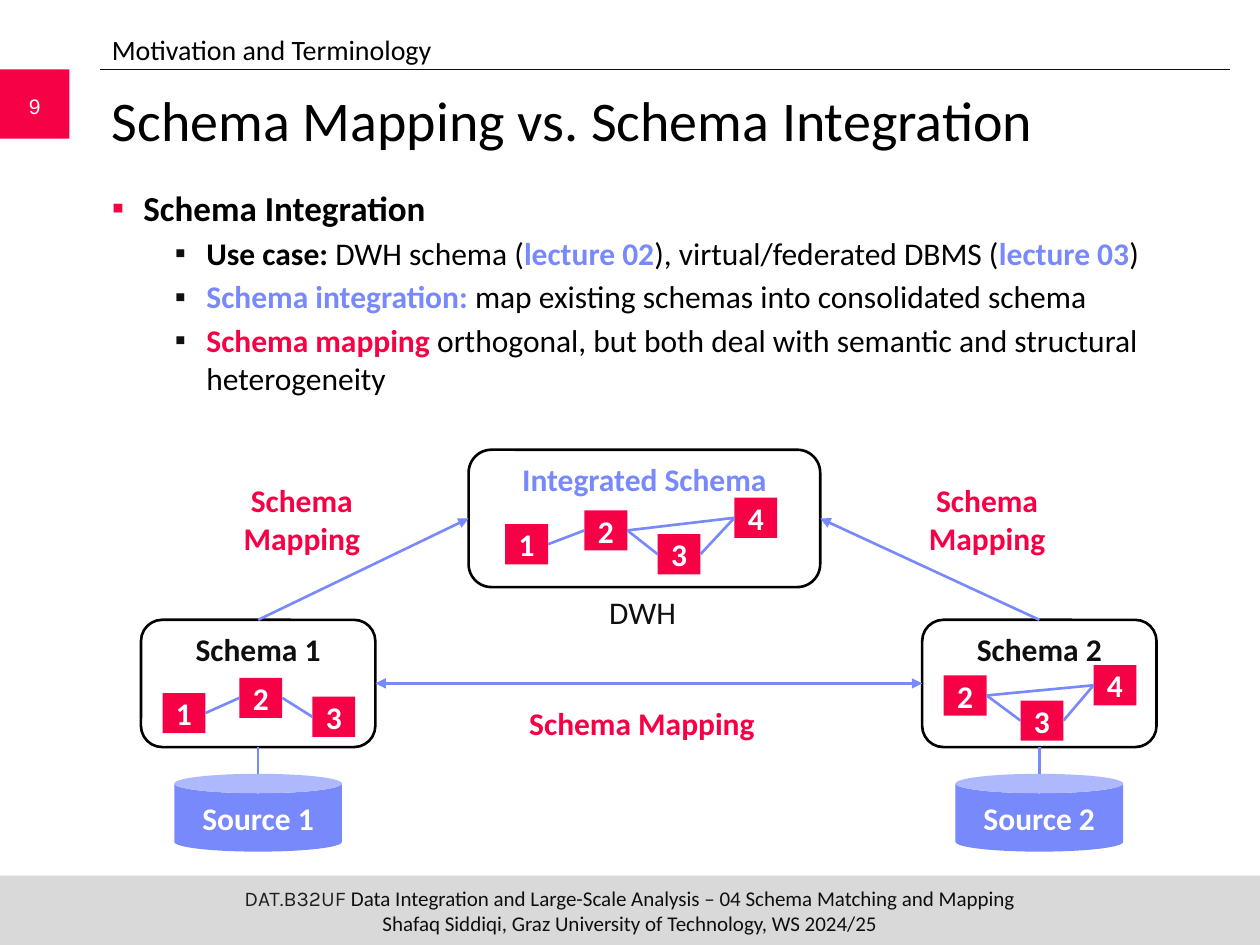
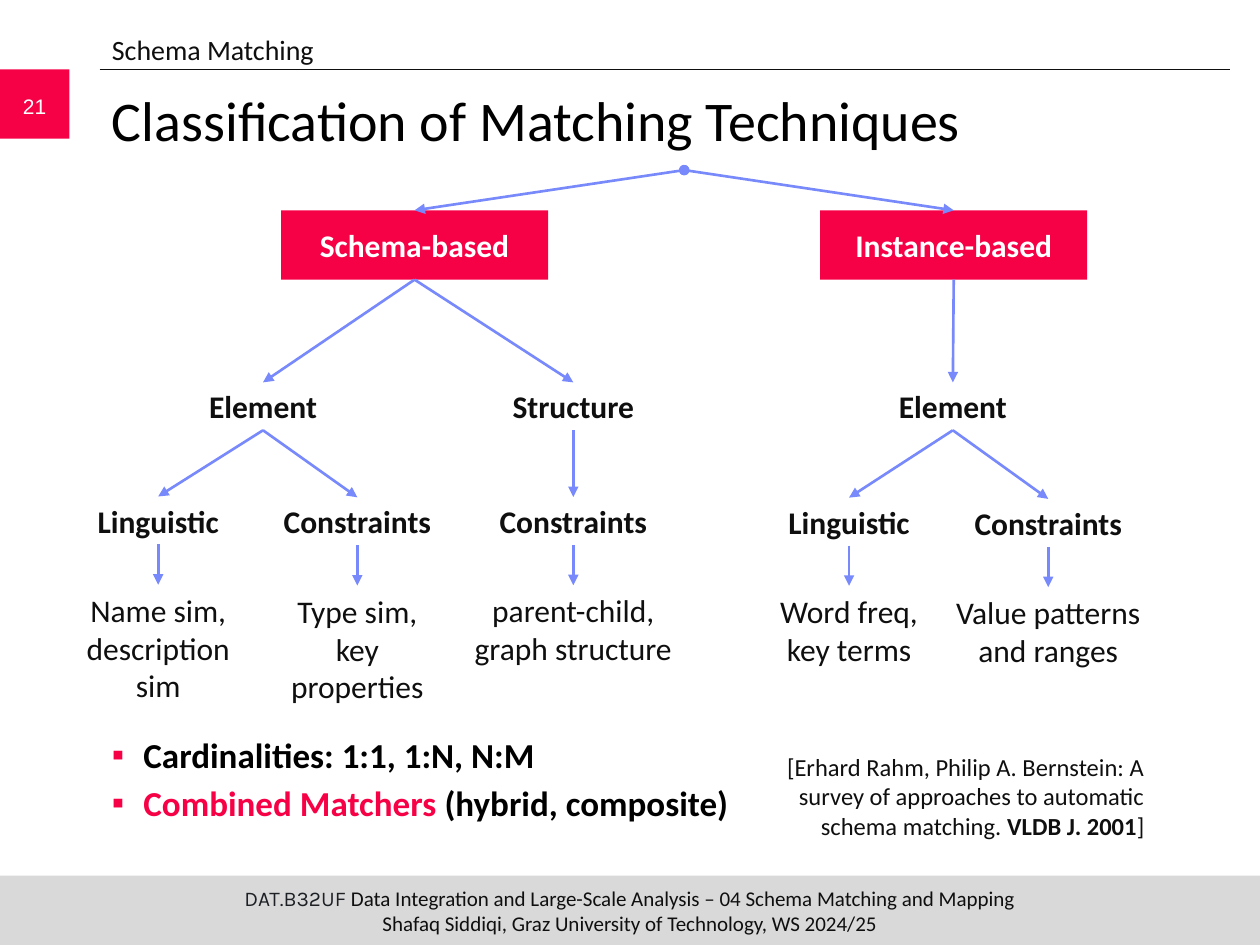
from lxml import etree
from pptx import Presentation
from pptx.dml.color import RGBColor
from pptx.enum.shapes import MSO_CONNECTOR, MSO_SHAPE
from pptx.enum.text import MSO_ANCHOR, PP_ALIGN
from pptx.oxml.ns import qn
from pptx.util import Pt

RECT, ROUND, CAN = MSO_SHAPE.RECTANGLE, MSO_SHAPE.ROUNDED_RECTANGLE, MSO_SHAPE.CAN
STRAIGHT = MSO_CONNECTOR.STRAIGHT
TOP, MIDDLE = MSO_ANCHOR.TOP, MSO_ANCHOR.MIDDLE
LEFT, CENTER, RIGHT = PP_ALIGN.LEFT, PP_ALIGN.CENTER, PP_ALIGN.RIGHT
# Connection sites of a box
NORTH, WEST, SOUTH, EAST = range(4)

COLORS = {
    "red": "F70146", "blue": "7889FB", "ink": "0F0F0F", "black": "000000",
    "white": "FFFFFF", "band": "D9D9D9", "code": "1D2125",
}
PAD = (7.2, 3.6)
TIGHT = (0, 3.6)


def rgb(name):
    return RGBColor.from_string(COLORS[name])


class Deck:
    """Holds the style and the current slide."""

    font = "Calibri"

    def __init__(self):
        self.prs = Presentation()
        self.prs.slide_width, self.prs.slide_height = Pt(720), Pt(540)
        self.slide = None

    def page(self, number, section, title, tone="black"):
        self.slide = self.prs.slides.add_slide(self.prs.slide_layouts[6])
        # Footer band
        self.shape(RECT, 0, 500.4, 720, 39.6, fill="band")
        foot = self.text(0, 500.4, 720, 39.6, [
            ("DAT.B32UF ", "code"),
            "Data Integration and Large-Scale Analysis – 04 Schema Matching and Mapping",
            "\n", "Shafaq Siddiqi, Graz University of Technology, WS 2024/25",
        ], size=12, align=CENTER, anchor=MIDDLE, pad=(0, 0))
        foot.text_frame.paragraphs[0].runs[0].font.name = "Karla"
        # Rule and page number
        self.wire((56.9, 39.6), (702.7, 39.6), "ink", 0.5)
        self.shape(RECT, 0, 39.6, 39.6, 39.6, fill="red")
        self.text(0, 46, 39.6, 28.8, [str(number)], size=12, color="white",
                  align=CENTER, anchor=MIDDLE, font="Arial")
        # Section and title
        self.text(56.9, 15.1, 648, 26, [section], size=16, color=tone)
        self.text(56.9, 45.4, 645, 59.8, [title], size=32, color="black")

    def set_para(self, para, runs, size=18, color="ink", bold=False, align=LEFT, font=None):
        """A run is a text, or (text, color) or (text, color, bold)."""
        para.alignment = align
        style = para.font
        style.name, style.size, style.bold = font or self.font, Pt(size), bold
        style.color.rgb = rgb(color)
        for item in runs:
            if item == "\n":
                para.add_line_break()
                continue
            words, *extra = (item,) if isinstance(item, str) else item
            run = para.add_run()
            run.text = words
            if extra:
                run.font.color.rgb = rgb(extra[0])
            if len(extra) > 1:
                run.font.bold = extra[1]

    def frame(self, shape, anchor, pad):
        frame = shape.text_frame
        frame.word_wrap = True
        frame.vertical_anchor = anchor
        frame.margin_left = frame.margin_right = Pt(pad[0])
        frame.margin_top = frame.margin_bottom = Pt(pad[1])
        return frame

    def text(self, x, y, w, h, runs, anchor=TOP, pad=PAD, **style):
        box = self.slide.shapes.add_textbox(Pt(x), Pt(y), Pt(w), Pt(h))
        self.set_para(self.frame(box, anchor, pad).paragraphs[0], runs, **style)
        return box

    def shape(self, kind, x, y, w, h, label="", fill=None, line=None,
              color="white", anchor=MIDDLE, pad=PAD):
        shape = self.slide.shapes.add_shape(kind, Pt(x), Pt(y), Pt(w), Pt(h))
        shape.shadow.inherit = False
        if fill:
            shape.fill.solid()
            shape.fill.fore_color.rgb = rgb(fill)
        else:
            shape.fill.background()
        if line:
            shape.line.color.rgb = rgb(line)
            shape.line.width = Pt(1.5)
        else:
            shape.line.fill.background()
        if label:
            para = self.frame(shape, anchor, pad).paragraphs[0]
            self.set_para(para, [label], color=color, bold=True, align=CENTER)
        return shape

    def wire(self, start, end, color="blue", width=1.5, head=None, tail=None):
        line = self.slide.shapes.add_connector(STRAIGHT, *map(Pt, start + end))
        line.line.color.rgb = rgb(color)
        line.line.width = Pt(width)
        props = line._element.spPr
        for tag, tip in (("a:headEnd", head), ("a:tailEnd", tail)):
            if tip:
                etree.SubElement(props.find(qn("a:ln")), qn(tag), type=tip)
        etree.SubElement(props, qn("a:effectLst"))
        return line

    def link(self, a, side, b, other, **tips):
        line = self.wire((0, 0), (1, 1), **tips)
        line.begin_connect(a, side)
        line.end_connect(b, other)

    def bullets(self, x, y, w, h, items):
        """An item is (level, runs)."""
        box = self.slide.shapes.add_textbox(Pt(x), Pt(y), Pt(w), Pt(h))
        frame = self.frame(box, TOP, PAD)
        for i, (level, runs) in enumerate(items):
            para = frame.add_paragraph() if i else frame.paragraphs[0]
            size = 18 if level else 20
            if i:
                para.space_before = Pt(round(0.18 * size, 1))
            para.level = level
            props = para._p.get_or_add_pPr()
            props.set("marL", str(Pt(54 if level else 18)))
            props.set("indent", str(Pt(-18)))
            tint = etree.SubElement(props, qn("a:buClr"))
            etree.SubElement(tint, qn("a:srgbClr"), val=COLORS["ink" if level else "red"])
            etree.SubElement(props, qn("a:buFont"), typeface="Arial")
            etree.SubElement(props, qn("a:buChar"), char="▪")
            self.set_para(para, runs, size, "black", bold=not level)

    def schema(self, x, y, w, h, title, nodes, edges, color="ink"):
        """Frame with numbered nodes; each edge runs from right side to left side."""
        frame = self.shape(ROUND, x, y, w, h, title, line="black", color=color,
                           anchor=TOP, pad=(7.2, 2))
        boxes = {name: self.shape(RECT, x + dx, y + dy, 24.5, 23, name, "red", pad=TIGHT)
                 for name, (dx, dy) in nodes.items()}
        for a, b in edges:
            self.link(boxes[a], EAST, boxes[b], WEST)
        return frame

    def source(self, x, label):
        """Database below a schema frame."""
        self.shape(CAN, x, 442.2, 95.8, 44.5, label, "blue")
        mid = x + 47.9
        self.wire((mid, 427), (mid, 442.2))

    def label(self, mid, y, words):
        return self.text(mid - 52, y, 104, 27.4, [words], bold=True,
                         align=CENTER, anchor=MIDDLE)

    def leaf(self, parent, mid, y, words, detail, width):
        name = self.label(mid, y, words)
        note = self.text(mid - width / 2, y + 50.4, width, 50.4, detail, align=CENTER)
        self.link(parent, SOUTH, name, NORTH, tail="triangle")
        self.link(name, SOUTH, note, NORTH, tail="triangle")


def mapping(deck):
    deck.page(9, "Motivation and Terminology", "Schema Mapping vs. Schema Integration")
    deck.bullets(56.9, 103, 645, 140, [
        (0, ["Schema Integration"]),
        (1, [("Use case:", "black", True), " DWH schema (", ("lecture 02", "blue", True),
             "), virtual/federated DBMS (", ("lecture 03", "blue", True), ")"]),
        (1, [("Schema integration:", "blue", True),
             " map existing schemas into consolidated schema"]),
        (1, [("Schema mapping", "red", True),
             " orthogonal, but both deal with semantic and structural heterogeneity"]),
    ])

    # Schemas and their sources
    fork = ["23", "24", "34"]
    whole = deck.schema(267.8, 257, 200.9, 78.5, "Integrated Schema", {
        "1": (20.9, 42.5), "2": (66.2, 34.6), "3": (108, 48.2), "4": (151.9, 27.4),
    }, ["12"] + fork, "blue")
    first = deck.schema(80.6, 354.2, 133.9, 72.7, "Schema 1", {
        "1": (12.3, 41.8), "2": (56.2, 33.1), "3": (97.9, 43.9),
    }, ["12", "23"])
    second = deck.schema(527, 354.2, 133.9, 72.7, "Schema 2", {
        "2": (12.3, 31.7), "3": (56.2, 46.1), "4": (97.9, 25.9),
    }, fork)
    deck.source(99.6, "Source 1")
    deck.source(546, "Source 2")

    # Mappings between schemas
    deck.link(first, NORTH, whole, WEST, tail="triangle")
    deck.link(second, NORTH, whole, EAST, tail="triangle")
    deck.link(first, EAST, second, WEST, head="triangle", tail="triangle")
    for x, y, w, h in ((275.8, 398.9, 182.2, 28.8),
                       (117.4, 271.4, 110.2, 51.1), (509, 271.4, 110.2, 51.1)):
        deck.text(x, y, w, h, ["Schema Mapping"], color="red", bold=True,
                  align=CENTER, pad=TIGHT)
    deck.text(327.6, 335.5, 79.2, 28.8, ["DWH"], align=CENTER, pad=TIGHT)


def matching(deck):
    deck.page(21, "Schema Matching", "Classification of Matching Techniques", "ink")

    # Root and its two branches
    roots = []
    for x, words in ((160.6, "Schema-based"), (468.7, "Instance-based")):
        root = deck.shape(RECT, x, 120.2, 152.6, 39.6, words, "red")
        deck.wire((391, 97.2), (x + 76.3, 120.2), head="oval", tail="triangle")
        roots.append(root)

    # Levels of matching
    levels = []
    for root, mid, words in ((roots[0], 150.3, "Element"), (roots[0], 327.6, "Structure"),
                             (roots[1], 544.5, "Element")):
        level = deck.label(mid, 218.5, words)
        deck.link(root, SOUTH, level, NORTH, tail="triangle")
        levels.append(level)

    # Techniques
    part, tree, data = levels
    deck.leaf(part, 90.4, 283.7, "Linguistic", ["Name sim, description sim"], 106.6)
    deck.leaf(part, 204.2, 284.2, "Constraints", ["Type sim,", "\n", "key properties"], 106.6)
    deck.leaf(tree, 327.6, 284, "Constraints", ["parent-child, graph structure"], 129.6)
    deck.leaf(data, 485.2, 284.4, "Linguistic", ["Word freq, key terms"], 106.6)
    deck.leaf(data, 599, 285.1, "Constraints", ["Value patterns and ranges"], 129.6)

    # Remarks and reference
    deck.bullets(56.9, 415.5, 375, 70, [
        (0, ["Cardinalities: 1:1, 1:N, N:M"]),
        (0, [("Combined Matchers ", "red"), "(hybrid, composite)"]),
    ])
    deck.text(437.8, 426.2, 223.2, 58.3, [
        "[Erhard Rahm, Philip A. Bernstein: A survey of approaches to automatic schema matching. ",
        ("VLDB J. 2001", "ink", True), "]",
    ], size=14, align=RIGHT)


def main():
    deck = Deck()
    mapping(deck)
    matching(deck)
    deck.prs.save("out.pptx")


if __name__ == "__main__":
    main()
